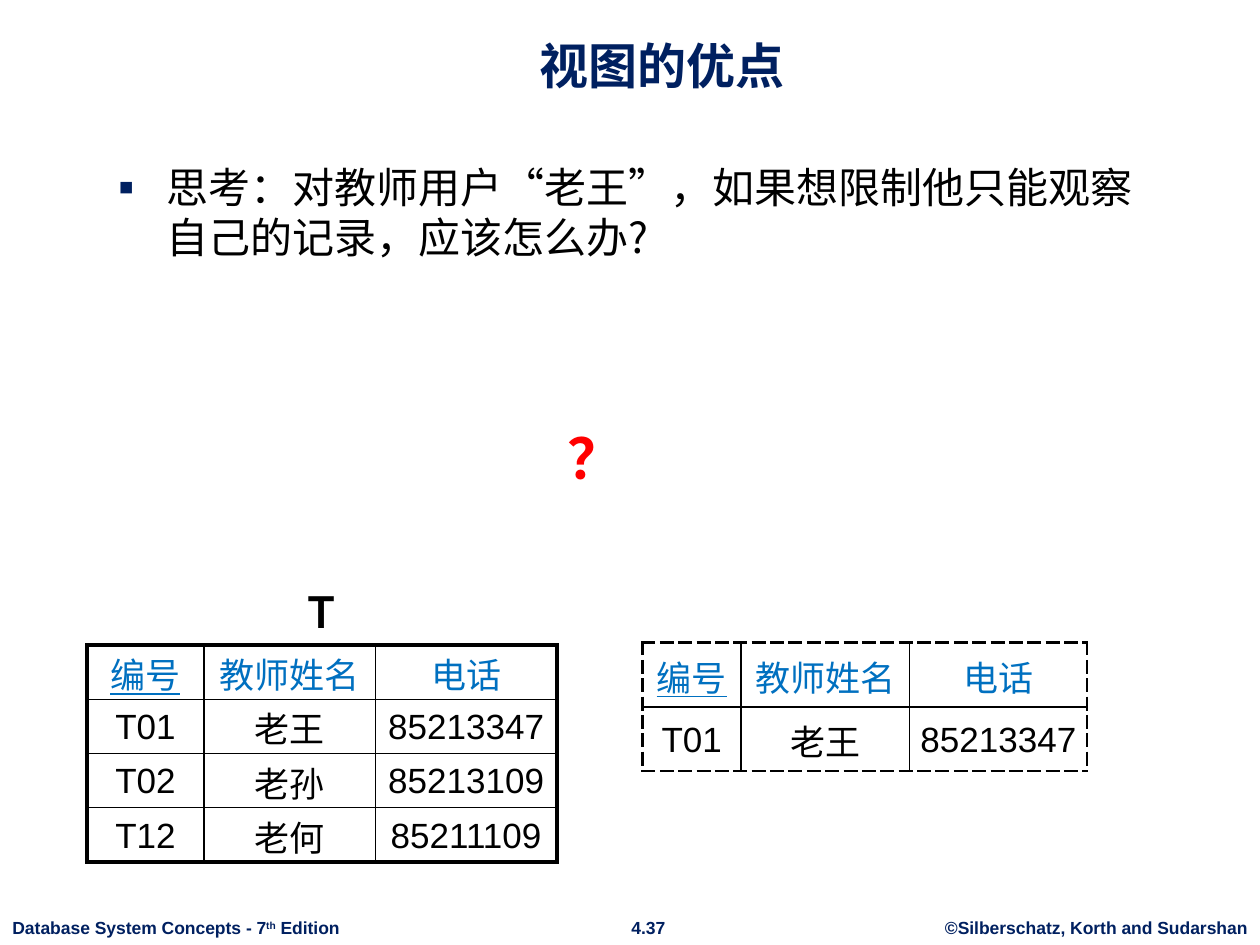
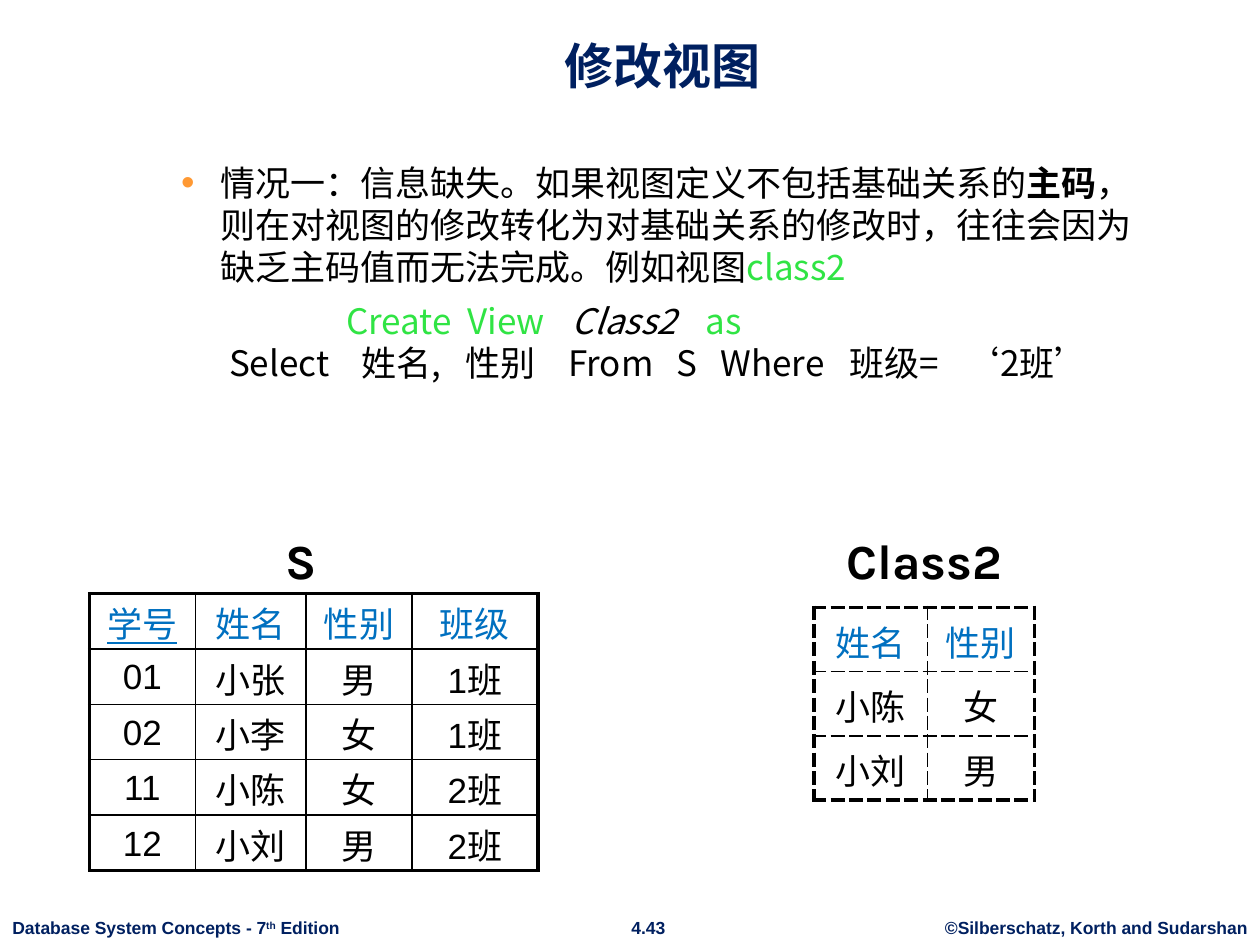
from lxml.etree import SubElement
from pptx import Presentation
from pptx.dml.color import RGBColor
from pptx.enum.text import MSO_ANCHOR, MSO_AUTO_SIZE, PP_ALIGN
from pptx.oxml.ns import qn
from pptx.util import Inches, Pt

NAVY = RGBColor(0x00, 0x20, 0x60)
BLUE = RGBColor(0x00, 0x70, 0xC0)
GREEN = RGBColor(0x30, 0xE4, 0x44)
ORANGE = RGBColor(0xFF, 0x99, 0x33)
RED = RGBColor(0xFF, 0x00, 0x00)
BLACK = RGBColor(0x00, 0x00, 0x00)
WHITE = RGBColor(0xFF, 0xFF, 0xFF)
SANS, CJK, LABEL = "Arial", "Noto Sans CJK SC", "Karla"
CENTER, LEFT = PP_ALIGN.CENTER, PP_ALIGN.LEFT

FOOTER = dict(size=10, color=NAVY, bold=True)
CODE = dict(size=20, font=CJK)
BODY_BOX = (0.84, 1.23, 8.43, 5.36)

SLIDES = [
    dict(
        title="视图的优点", page="4.37",
        body=[dict(
            runs=[("思考：对教师用户“老王”，如果想限制他只能观察自己的记录，应该怎么办?",
                   dict(size=24, font=CJK))],
            size=24, margin=0.38, hang=0.38, bullet="▪", bullet_color=NAVY)],
        labels=[
            ("T", (1.77, 4.55, 1.56, 0.57), dict(size=28)),
            ("？", (4.4, 3.31, 0.65, 0.65), dict(size=32, color=RED)),
        ],
        tables=[
            dict(left=0.69, top=5.12, cols=[0.93, 1.36, 1.44], row=0.43, outer=2.25, key=True,
                 rows=[["编号", "教师姓名", "电话"],
                       ["T01", "老王", "85213347"],
                       ["T02", "老孙", "85213109"],
                       ["T12", "老何", "85211109"]]),
            dict(left=5.1, top=5.1, cols=[0.78, 1.34, 1.41], row=0.51, outer=1.5, key=True,
                 dash_outer=True,
                 rows=[["编号", "教师姓名", "电话"],
                       ["T01", "老王", "85213347"]]),
        ]),
    dict(
        title="修改视图", page="4.43",
        body=[
            dict(runs=[("情况一：信息缺失。如果视图定义不包括基础关系的", CODE),
                       ("主码", dict(CODE, bold=True)),
                       ("，则在对视图的修改转化为对基础关系的修改时，往往会因为缺乏主码值而无法完成。例如视图", CODE),
                       ("class2", dict(CODE, color=GREEN))],
                 size=20, margin=0.81, hang=0.31, bullet="•", bullet_color=ORANGE),
            dict(runs=[("\tCreate\tView\t", dict(CODE, color=GREEN)),
                       ("Class2\t", dict(CODE, italic=True)),
                       ("as", dict(CODE, color=GREEN))],
                 size=20, before=7, tabs=[1.81, 2.77, 3.6, 4.66]),
            dict(runs=[("\tSelect\t姓名,\t性别\tFrom\tS\tWhere\t班级=\t‘2班’", CODE)],
                 size=20, tabs=[0.88, 1.93, 2.76, 3.57, 4.43, 4.78, 5.8, 6.72]),
        ],
        labels=[
            ("S", (1.68, 4.16, 1.42, 0.57), dict(size=28)),
            ("Class2", (5.99, 4.16, 2.69, 0.57), dict(size=28)),
        ],
        tables=[
            dict(left=0.71, top=4.71, cols=[0.84, 0.88, 0.84, 1], row=0.44, outer=2.25, key=True,
                 rows=[["学号", "姓名", "性别", "班级"],
                       ["01", "小张", "男", "1班"],
                       ["02", "小李", "女", "1班"],
                       ["11", "小陈", "女", "2班"],
                       ["12", "小刘", "男", "2班"]]),
            dict(left=6.46, top=4.82, cols=[0.9, 0.85], row=0.51, outer=2.25,
                 dash_outer=True, dash_inner=True,
                 rows=[["姓名", "性别"], ["小陈", "女"], ["小刘", "男"]]),
        ]),
]


def add_run(p, text, size=20, font=SANS, color=BLACK, bold=False, italic=False,
            underline=False, raised=False):
    r = p.add_run()
    r.text = text
    f = r.font
    f.size, f.name, f.bold, f.italic, f.underline = Pt(size), font, bold, italic, underline
    f.color.rgb = color
    rPr = r._r.get_or_add_rPr()
    SubElement(rPr, qn("a:ea")).set("typeface", CJK)
    if raised:
        rPr.set("baseline", "30000")


def add_text(s, box, runs, align=CENTER, wrap=True):
    tf = s.shapes.add_textbox(*map(Inches, box)).text_frame
    tf.word_wrap = wrap
    p = tf.paragraphs[0]
    p.alignment = align
    for text, fmt in runs:
        add_run(p, text, **fmt)


def add_body(s, paragraphs):
    tf = s.shapes.add_textbox(*map(Inches, BODY_BOX)).text_frame
    tf.word_wrap = True
    for i, item in enumerate(paragraphs):
        p = tf.add_paragraph() if i else tf.paragraphs[0]
        p.line_spacing = Pt(1.2 * item["size"])
        p.space_before = Pt(item.get("before", 0))
        pPr = p._p.get_or_add_pPr()
        if "bullet" in item:
            pPr.set("marL", str(Inches(item["margin"])))
            pPr.set("indent", str(-Inches(item["hang"])))
            color = SubElement(pPr, qn("a:buClr"))
            SubElement(color, qn("a:srgbClr")).set("val", str(item["bullet_color"]))
            SubElement(pPr, qn("a:buSzPct")).set("val", "110000")
            SubElement(pPr, qn("a:buFont")).set("typeface", SANS)
            SubElement(pPr, qn("a:buChar")).set("char", item["bullet"])
        if "tabs" in item:
            tabs = SubElement(pPr, qn("a:tabLst"))
            for pos in item["tabs"]:
                tab = SubElement(tabs, qn("a:tab"))
                tab.set("pos", str(Inches(pos)))
                tab.set("algn", "l")
        for text, fmt in item["runs"]:
            add_run(p, text, **fmt)


def set_border(cell, side, width, dashed):
    ln = SubElement(cell._tc.get_or_add_tcPr(), qn(f"a:ln{side}"))
    ln.set("w", str(Pt(width)))
    fill = SubElement(ln, qn("a:solidFill"))
    SubElement(fill, qn("a:srgbClr")).set("val", str(BLACK))
    SubElement(ln, qn("a:prstDash")).set("val", "lgDash" if dashed else "solid")


def add_grid(s, left, top, cols, row, rows, outer, key=False, dash_outer=False,
             dash_inner=False):
    n, m = len(rows), len(cols)
    table = s.shapes.add_table(n, m, Inches(left), Inches(top), Inches(sum(cols)),
                               Inches(row * n)).table
    table.first_row = table.horz_banding = False
    for col, width in zip(table.columns, cols):
        col.width = Inches(width)
    for i, values in enumerate(rows):
        table.rows[i].height = Inches(row)
        for j, value in enumerate(values):
            cell = table.cell(i, j)
            cell.vertical_anchor = MSO_ANCHOR.MIDDLE
            cell.margin_left = cell.margin_right = cell.margin_bottom = 0
            cell.margin_top = Inches(0.02)
            edges = {"L": j == 0, "R": j == m - 1, "T": i == 0, "B": i == n - 1}
            for side, is_outer in edges.items():
                set_border(cell, side, outer if is_outer else 1,
                           dash_outer if is_outer else dash_inner)
            cell.fill.solid()
            cell.fill.fore_color.rgb = WHITE
            p = cell.text_frame.paragraphs[0]
            p.alignment = CENTER
            add_run(p, value, color=BLACK if i else BLUE,
                    underline=key and i == 0 and j == 0)


def add_frame(s, title, page):
    shape = s.shapes.title
    shape.left, shape.top, shape.width, shape.height = map(Inches, (0.84, 0.13, 8.83, 0.67))
    tf = shape.text_frame
    tf.vertical_anchor = MSO_ANCHOR.BOTTOM
    tf.auto_size = MSO_AUTO_SIZE.NONE
    p = tf.paragraphs[0]
    p.alignment = CENTER
    add_run(p, title, size=28, color=NAVY, bold=True)
    add_text(s, (0, 7.23, 2.81, 0.27),
             [("Database System Concepts - 7", FOOTER), ("th", dict(FOOTER, raised=True)),
              (" Edition", FOOTER)], align=LEFT, wrap=False)
    add_text(s, (4.9, 7.23, 0.49, 0.27), [(page, FOOTER)], wrap=False)
    add_text(s, (7.4, 7.23, 2.6, 0.27), [("©Silberschatz, Korth and Sudarshan", FOOTER)],
             wrap=False)


def main():
    """Build the two slides about database views."""
    prs = Presentation()
    prs.slide_width, prs.slide_height = Inches(10), Inches(7.5)
    for item in SLIDES:
        s = prs.slides.add_slide(prs.slide_layouts[5])
        add_frame(s, item["title"], item["page"])
        add_body(s, item["body"])
        for grid in item["tables"]:
            add_grid(s, **grid)
        for text, box, fmt in item["labels"]:
            add_text(s, box, [(text, dict(fmt, font=LABEL, bold=True))], wrap=False)
    prs.save("out.pptx")


if __name__ == "__main__":
    main()
